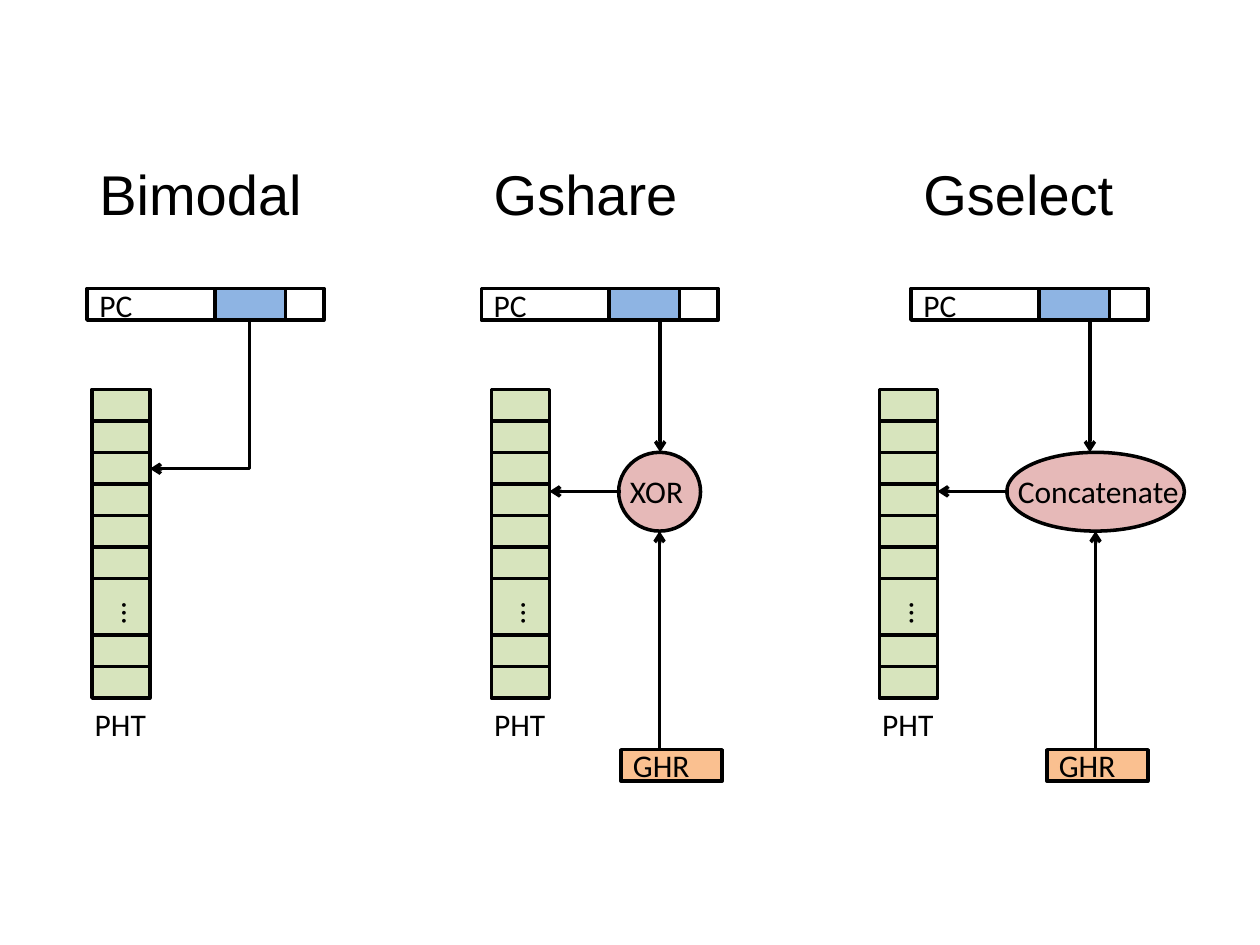
from lxml import etree
from pptx import Presentation
from pptx.dml.color import RGBColor
from pptx.enum.shapes import MSO_CONNECTOR, MSO_SHAPE
from pptx.enum.text import MSO_AUTO_SIZE, PP_ALIGN
from pptx.oxml.ns import qn
from pptx.util import Inches, Pt

PROCESS, ELLIPSE = MSO_SHAPE.FLOWCHART_PROCESS, MSO_SHAPE.OVAL
STRAIGHT, ELBOW = MSO_CONNECTOR.STRAIGHT, MSO_CONNECTOR.ELBOW
LEFT, CENTER = PP_ALIGN.LEFT, PP_ALIGN.CENTER
FIT_SHAPE = MSO_AUTO_SIZE.SHAPE_TO_FIT_TEXT
COLUMNS, ROWS, CELL = 40, 30, 0.25

BLACK, BLUE, GREEN = "000000", "8EB4E3", "D7E4BD"
ORANGE, PINK = "FAC090", "E6B9B8"


def color(value):
    """Turn a hex string into a colour."""
    return RGBColor.from_string(value)


def grid(*cells):
    """Turn columns or rows of the grid into lengths."""
    return [Inches(cell * CELL) for cell in cells]


class Page:
    """Holds the style and the current slide; all lengths are grid cells."""

    font, size, line_width = "Calibri", 18, 2

    def __init__(self, deck):
        """Add a blank slide to the deck."""
        self.slide = deck.slides.add_slide(deck.slide_layouts[6])

    def outline(self, line):
        """Apply the common line style."""
        line.color.rgb = color(BLACK)
        line.width = Pt(self.line_width)

    def shape(self, kind, left, top, width, height, fill=None):
        """Draw an outlined shape, filled if a colour is given."""
        shape = self.slide.shapes.add_shape(kind, *grid(left, top, width, height))
        shape.shadow.inherit = False
        self.outline(shape.line)
        if fill:
            shape.fill.solid()
            shape.fill.fore_color.rgb = color(fill)
        else:
            shape.fill.background()

    def text(self, words, left, top, width, height=1.6, size=None, font=None,
             align=LEFT, vertical=False):
        """Write one line of text in a box."""
        box = self.slide.shapes.add_textbox(*grid(left, top, width, height))
        frame = box.text_frame
        frame.word_wrap = True
        frame.auto_size = FIT_SHAPE
        if vertical:
            box.element.find(qn("p:txBody")).find(qn("a:bodyPr")).set("vert", "eaVert")
        para = frame.paragraphs[0]
        para.text = words
        para.alignment = align
        para.font.name = font or self.font
        para.font.size = Pt(size or self.size)
        para.font.color.rgb = color(BLACK)

    def arrow(self, x1, y1, x2, y2, kind=STRAIGHT):
        """Draw an arrow between two points and return its connector."""
        arrow = self.slide.shapes.add_connector(kind, *grid(x1, y1, x2, y2))
        self.outline(arrow.line)
        properties = arrow.element.spPr
        etree.SubElement(properties.find(qn("a:ln")), qn("a:tailEnd"), type="arrow")
        etree.SubElement(properties, qn("a:effectLst"))
        return arrow

    def corner_arrow(self, x1, y1, x2, y2):
        """Draw an arrow that runs down, then turns left."""
        middle_x, middle_y = (x1 + x2) / 2, (y1 + y2) / 2
        half_width, half_height = (y2 - y1) / 2, (x1 - x2) / 2
        arrow = self.arrow(middle_x - half_width, middle_y - half_height,
                           middle_x + half_width, middle_y + half_height, ELBOW)
        properties = arrow.element.spPr
        properties.find(qn("a:xfrm")).set("rot", str(90 * 60000))
        properties.find(qn("a:prstGeom")).set("prst", "bentConnector2")

    def counter(self, name, left):
        """Draw a heading and its program counter with the index field."""
        self.text(name, left, 4.88, 7.52, 2.56, size=32, font="Arial")
        self.shape(PROCESS, left, PC_TOP, 7.52, 1)
        self.text("PC", left, PC_TOP - 0.28, 3.32)
        self.shape(PROCESS, left + 4.06, PC_TOP, 2.24, 1, BLUE)

    def history_table(self, left):
        """Draw the pattern history table with its label."""
        for top in TABLE_TOPS:
            self.shape(PROCESS, left, top, TABLE_WIDTH, 1, GREEN)
        self.shape(PROCESS, left, GAP_TOP, TABLE_WIDTH, GAP_HEIGHT, GREEN)
        self.text("…", left + 0.16, GAP_TOP + 0.36, 2, 2.28, vertical=True)
        self.text("PHT", left - 0.56, 22.2, 2.92, align=CENTER)

    def operator(self, name, left, width, label_width, index_x, table_right, register):
        """Draw an operator that joins the index and the history register."""
        middle = left + width / 2
        self.shape(PROCESS, register, GHR_TOP, 3.2, 1, ORANGE)
        self.text("GHR", register - 0.02, GHR_TOP - 0.3, 3.32)
        self.arrow(index_x, PC_BOTTOM, index_x, OPERATOR_TOP)
        self.arrow(middle, GHR_TOP, middle, OPERATOR_TOP + OPERATOR_HEIGHT)
        self.shape(ELLIPSE, left, OPERATOR_TOP, width, OPERATOR_HEIGHT, PINK)
        self.text(name, left - 0.04, OPERATOR_TOP + 0.44, label_width)
        self.arrow(left + 0.08, 15.6, table_right, 15.6)


PC_TOP, PC_BOTTOM = 9.16, 10.16
TABLE_TOP, TABLE_WIDTH = 12.36, 1.84
GAP_TOP, GAP_HEIGHT = TABLE_TOP + 6, 1.8
TABLE_TOPS = ([TABLE_TOP + row for row in range(6)]
              + [GAP_TOP + GAP_HEIGHT + row for row in range(2)])
OPERATOR_TOP, OPERATOR_HEIGHT = 14.36, 2.5
GHR_TOP = 23.8

# heading, counter left, table left, operator (name, left, width, label width), register left
PREDICTORS = [
    ("Bimodal", 2.76, 2.92, None, None),
    ("Gshare", 15.28, 15.6, ("XOR", 19.64, 2.6, 3.32), 19.72),
    ("Gselect", 28.92, 27.92, ("Concatenate", 31.96, 5.64, 6.32), 33.24),
]

deck = Presentation()
deck.slide_width, deck.slide_height = grid(COLUMNS, ROWS)
page = Page(deck)
for name, counter_left, table_left, operator, register in PREDICTORS:
    page.counter(name, counter_left)
    page.history_table(table_left)
    table_right = table_left + TABLE_WIDTH
    if operator:
        page.operator(*operator, counter_left + 5.68, table_right, register)
    else:
        page.corner_arrow(counter_left + 5.16, PC_BOTTOM, table_right, 14.88)
deck.save("out.pptx")
